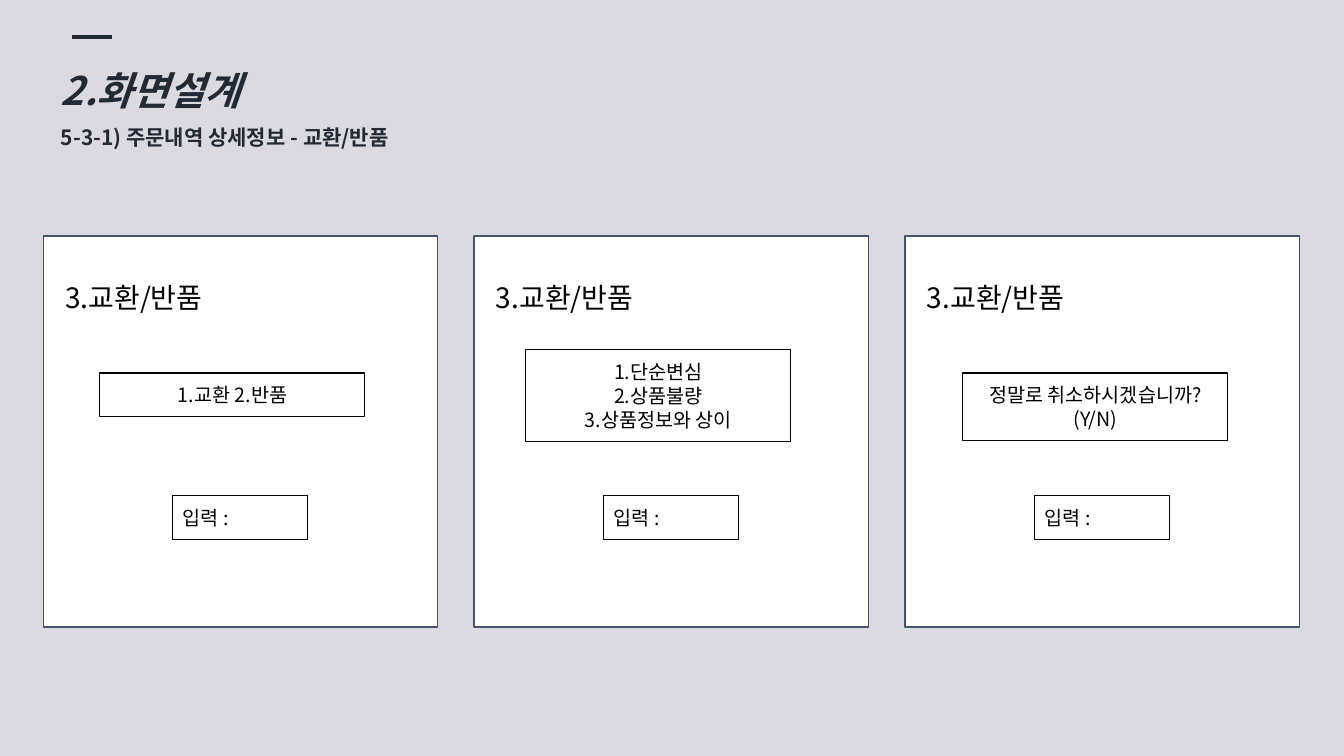
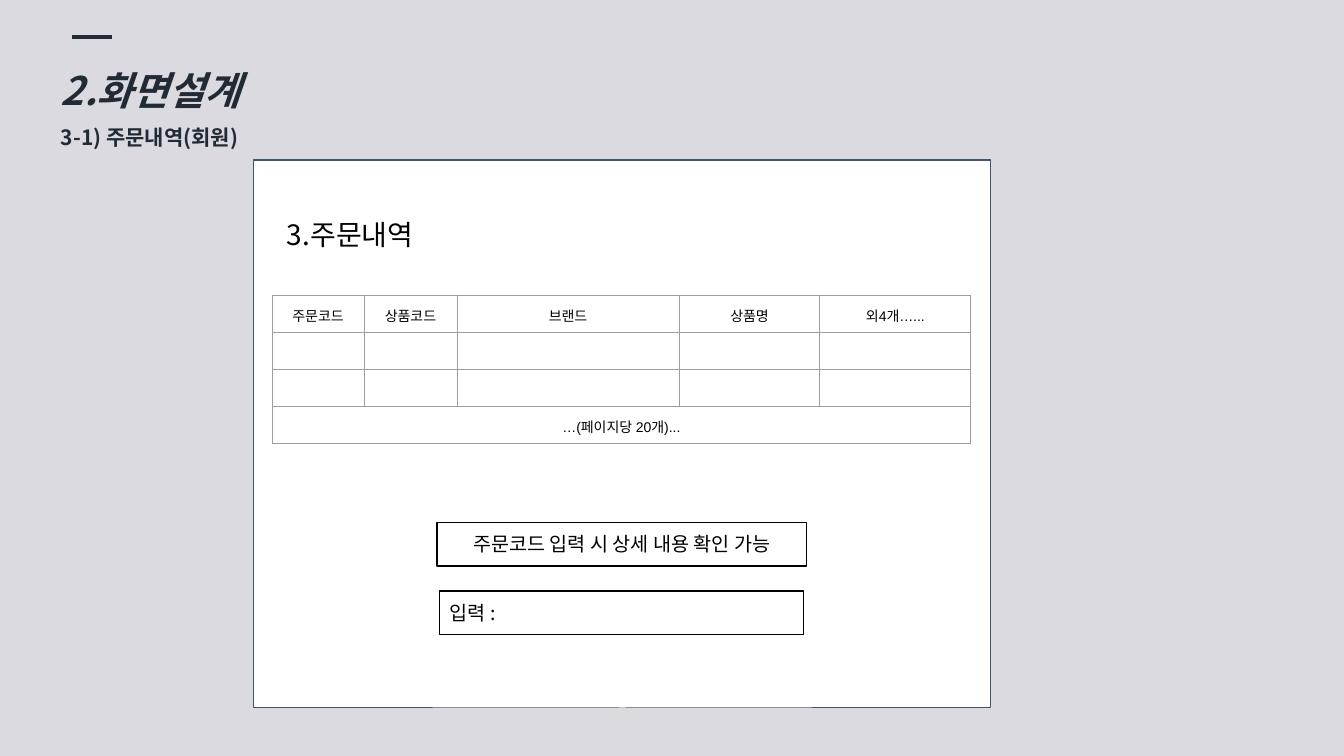
from pptx import Presentation
from pptx.dml.color import RGBColor
from pptx.enum.shapes import MSO_CONNECTOR as CONNECTOR, MSO_SHAPE as SHAPE
from pptx.enum.text import MSO_ANCHOR as ANCHOR, PP_ALIGN as ALIGN
from pptx.oxml.ns import qn
from pptx.util import Emu, Pt
from lxml import etree

BACKGROUND = RGBColor(0xDB, 0xDA, 0xE0)
TITLE = RGBColor(0x22, 0x2A, 0x35)
CARD_LINE = RGBColor(0x44, 0x54, 0x6A)
GRID = RGBColor(0x9E, 0x9E, 0x9E)
BLACK = RGBColor(0, 0, 0)
WHITE = RGBColor(0xFF, 0xFF, 0xFF)

KOREAN = "Noto Sans CJK KR"
PX = 914400 / 100.8

# Text styles: leading is the exact line height in points
TITLE_STYLE = dict(size=28, leading=53, color=TITLE, bold=True, italic=True)
SUBTITLE_STYLE = dict(size=15, leading=26, color=TITLE, bold=True)
HEADING_STYLE = dict(size=20, leading=26)
INPUT_STYLE = dict(size=14, leading=17)
PROMPT_STYLE = dict(INPUT_STYLE, align=ALIGN.CENTER)
CELL_STYLE = dict(size=10, leading=14, name="Arial", align=ALIGN.CENTER)


def write(frame, lines, margins):
    """Fill a text frame or table cell with (text, style) lines."""
    for side, margin in zip(("left", "top", "right", "bottom"), margins):
        setattr(frame, f"margin_{side}", Emu(round(margin * PX)))
    text_frame = getattr(frame, "text_frame", frame)
    text_frame.word_wrap = True
    for index, (text, style) in enumerate(lines):
        paragraph = text_frame.add_paragraph() if index else text_frame.paragraphs[0]
        paragraph.alignment = style.get("align", ALIGN.LEFT)
        paragraph.line_spacing = Pt(style["leading"])
        if not text:
            paragraph._p.get_or_add_endParaRPr().set("sz", str(style["size"] * 100))
            continue
        run = paragraph.add_run()
        run.text = text
        name = style.get("name", KOREAN)
        formats = {
            "name": name,
            "size": Pt(style["size"]),
            "bold": style.get("bold", False),
            "italic": style.get("italic", False),
        }
        for attribute, value in formats.items():
            setattr(run.font, attribute, value)
        run.font.color.rgb = style.get("color", BLACK)
        etree.SubElement(run._r.get_or_add_rPr(), qn("a:ea"), typeface=name)


def add_box(slide, bounds, lines=(), line=None, fill=None, margins=(10, 10, 10, 10)):
    """Add a bordered rectangle, or a plain text box when no line is given."""
    lengths = [Emu(round(length * PX)) for length in bounds]
    if line is None:
        shape = slide.shapes.add_textbox(*lengths)
    else:
        shape = slide.shapes.add_shape(SHAPE.RECTANGLE, *lengths)
        shape.shadow.inherit = False
        shape.line.color.rgb = line
        shape.line.width = Pt(0.75)
        if fill is None:
            shape.fill.background()
        else:
            shape.fill.solid()
            shape.fill.fore_color.rgb = fill
    shape.text_frame.vertical_anchor = ANCHOR.TOP
    write(shape.text_frame, lines, margins)


presentation = Presentation()
presentation.slide_width = Emu(round(1344 * PX))
presentation.slide_height = Emu(round(756 * PX))

# Shared background, accent line and title
slides = []
for subtitle in ("5-3-1) 주문내역 상세정보 - 교환/반품", "3-1) 주문내역(회원)"):
    slide = presentation.slides.add_slide(presentation.slide_layouts[6])
    slide.background.fill.solid()
    slide.background.fill.fore_color.rgb = BACKGROUND
    add_box(slide, (51, 34, 445, 115),
            [("2.화면설계", TITLE_STYLE), (subtitle, SUBTITLE_STYLE)],
            margins=(10, 5, 10, 5))
    accent = slide.shapes.add_connector(
        CONNECTOR.STRAIGHT, *(Emu(round(length * PX)) for length in (72, 37, 112, 37)))
    accent.line.color.rgb = TITLE
    accent.line.width = Pt(3)
    etree.SubElement(accent._element.spPr, qn("a:effectLst"))
    slides.append(slide)
exchange_slide, orders_slide = slides

# Exchange and return: three screens with prompt offset, top, height and lines
screens = [
    (57, 373, 44, ["1.교환 2.반품"]),
    (52, 350, 92, ["1.단순변심", "2.상품불량", "3.상품정보와 상이"]),
    (58, 373, 68, ["정말로 취소하시겠습니까?", "(Y/N)"]),
]
for index, (offset, top, height, prompts) in enumerate(screens):
    left = 43 + 431 * index
    add_box(exchange_slide, (left, 236, 395, 391), line=CARD_LINE, fill=WHITE)
    add_box(exchange_slide, (left + 12, 268, 243, 54), [("3.교환/반품", HEADING_STYLE)])
    add_box(exchange_slide, (left + offset, top, 265, height),
            [(prompt, PROMPT_STYLE) for prompt in prompts], line=BLACK)
    add_box(exchange_slide, (left + 130, 496, 135, 44), [("입력 :", INPUT_STYLE)], line=BLACK)

# Order list: card, heading, hint and input
add_box(orders_slide, (254, 160, 737, 548), line=CARD_LINE, fill=WHITE)
add_box(orders_slide, (277, 205, 454, 54), [("3.주문내역", HEADING_STYLE)])
add_box(orders_slide, (437, 522, 370, 44),
        [("주문코드 입력 시 상세 내용 확인 가능", PROMPT_STYLE)], line=BLACK)
add_box(orders_slide, (440, 591, 364, 44), [("입력 :", INPUT_STYLE)], line=BLACK)

# Order table
column_widths = [92, 93, 222, 141, 151]
row_height = 37
rows = [
    ["주문코드", "상품코드", "브랜드", "상품명", "외4개…..."],
    [""] * 5,
    [""] * 5,
    ["…(페이지당 20개)..."] + [""] * 4,
]
bounds = (272, 295, sum(column_widths), row_height * len(rows))
table = orders_slide.shapes.add_table(
    len(rows), len(column_widths), *(Emu(round(length * PX)) for length in bounds)).table
table.first_row = False
table.horz_banding = False
for column, width in zip(table.columns, column_widths):
    column.width = Emu(round(width * PX))
for row_index, texts in enumerate(rows):
    table.rows[row_index].height = Emu(round(row_height * PX))
    for column_index, text in enumerate(texts):
        cell = table.cell(row_index, column_index)
        write(cell, [(text, CELL_STYLE)], (10, 10, 10, 7))
        properties = cell._tc.get_or_add_tcPr()
        for side in ("lnL", "lnR", "lnT", "lnB"):
            border = etree.SubElement(properties, qn(f"a:{side}"), w=str(Pt(0.75)))
            fill = etree.SubElement(border, qn("a:solidFill"))
            etree.SubElement(fill, qn("a:srgbClr"), val=str(GRID))
        cell.fill.background()
table.cell(3, 0).merge(table.cell(3, 4))

presentation.save("out.pptx")
